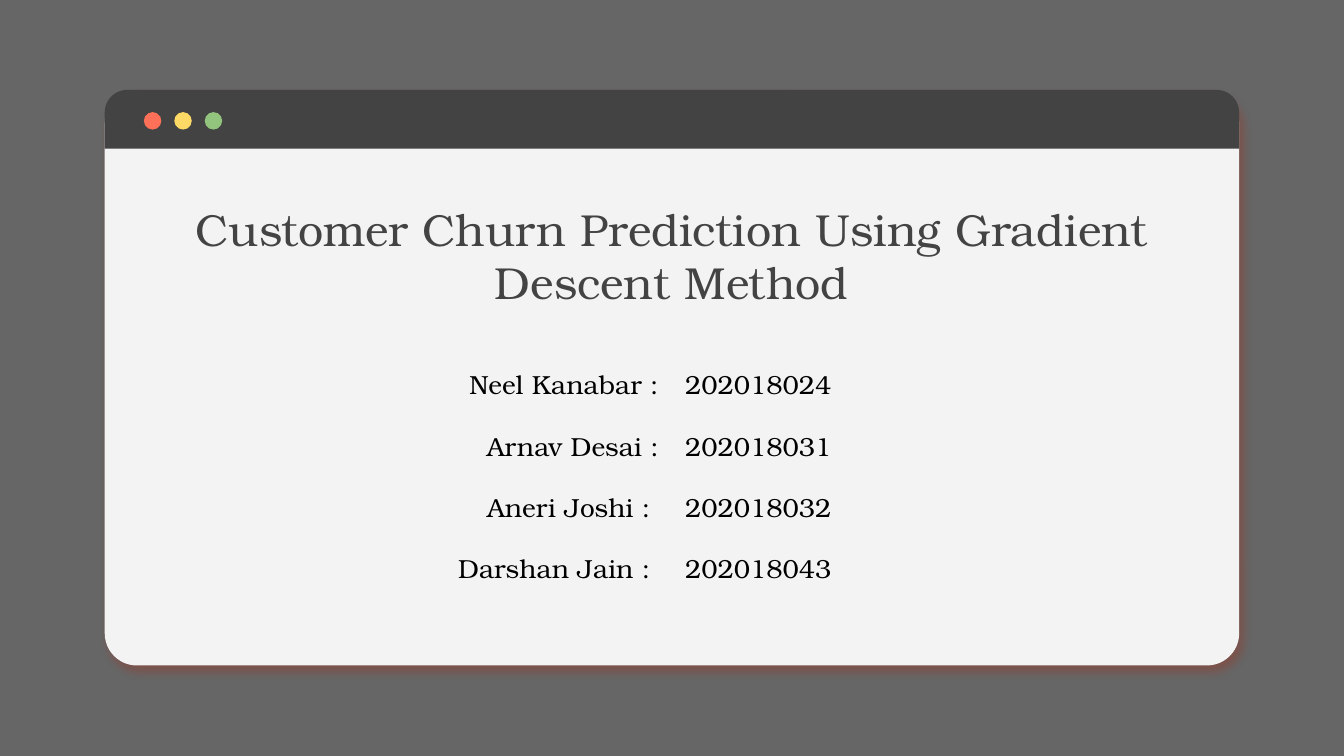
"""Build the title slide: a browser-style window with a heading and a list of team members."""
from pptx import Presentation
from pptx.dml.color import RGBColor
from pptx.enum.shapes import MSO_SHAPE as Shape
from pptx.enum.text import MSO_ANCHOR as Anchor, PP_ALIGN as Align
from pptx.oxml import parse_xml
from pptx.oxml.ns import nsdecls
from pptx.util import Cm, Pt


def color(hex_text):
    return RGBColor.from_string(hex_text)


def add_filled(kind, left, top, width, height, fill):
    shape = slide.shapes.add_shape(kind, Cm(left), Cm(top), Cm(width), Cm(height))
    shape.shadow.inherit = False
    shape.fill.solid()
    shape.fill.fore_color.rgb = color(fill)
    shape.line.fill.background()
    return shape


FONT = "TeX Gyre Bonum"
MEMBERS = [
    ("Neel Kanabar :", "202018024"),
    ("Arnav Desai :", "202018031"),
    ("Aneri Joshi : ", "202018032"),
    ("Darshan Jain : ", "202018043"),
]

deck = Presentation()
deck.slide_width, deck.slide_height = Cm(25.4), Cm(14.29)
slide = deck.slides.add_slide(deck.slide_layouts[5])
slide.background.fill.solid()
slide.background.fill.fore_color.rgb = color("666666")

window = add_filled(Shape.ROUNDED_RECTANGLE, 1.98, 1.72, 21.44, 10.86, "F3F3F3")
window.adjustments[0] = 0.056
window.shadow.inherit = True
window._element.spPr.append(parse_xml(
    f'<a:effectLst {nsdecls("a")}>'
    '<a:outerShdw blurRad="57150" dist="48260" dir="2940000" algn="bl" rotWithShape="0">'
    '<a:srgbClr val="963A2A"><a:alpha val="47000"/></a:srgbClr>'
    '</a:outerShdw></a:effectLst>'))

title_bar = add_filled(Shape.ROUND_2_SAME_RECTANGLE, 1.98, 1.7, 21.44, 1.11, "434343")
title_bar.adjustments[0] = 0.383
title_bar.adjustments[1] = 0

for index, fill in enumerate(["FF7058", "FFD966", "93C47D"]):
    add_filled(Shape.OVAL, 2.72 + index * 0.575, 2.12, 0.33, 0.33, fill)

title = slide.shapes.title
title.left, title.top, title.width, title.height = Cm(2.79), Cm(3.4), Cm(19.81), Cm(3.86)
slide.shapes._spTree.append(title._element)
frame = title.text_frame
frame.text = "Customer Churn Prediction Using Gradient Descent Method"
frame.word_wrap = True
frame.vertical_anchor = Anchor.MIDDLE
frame.margin_left = frame.margin_right = frame.margin_top = Cm(0.25)
frame.margin_bottom = Cm(1.27)
para = frame.paragraphs[0]
para.alignment = Align.CENTER
font = para.runs[0].font
font.name, font.size, font.color.rgb = FONT, Pt(24), color("434343")

table = slide.shapes.add_table(
    len(MEMBERS), 2, Cm(6.68), Cm(6.68), Cm(12.04), Cm(4.44)).table
table.first_row = table.horz_banding = False
for row, member in zip(table.rows, MEMBERS):
    row.height = Cm(1.11)
    for cell, text, alignment in zip(row.cells, member, (Align.RIGHT, Align.LEFT)):
        cell.fill.background()
        cell.margin_left = cell.margin_right = Cm(0.25)
        cell.margin_top = cell.margin_bottom = Cm(0.25)
        for position, side in enumerate(("lnL", "lnR", "lnT", "lnB")):
            border = parse_xml(f'<a:{side} {nsdecls("a")}><a:noFill/></a:{side}>')
            cell._tc.tcPr.insert(position, border)
        para = cell.text_frame.paragraphs[0]
        para.text = text
        para.alignment = alignment
        font = para.runs[0].font
        font.name, font.size, font.color.rgb = FONT, Pt(14), color("000000")

deck.save("out.pptx")
